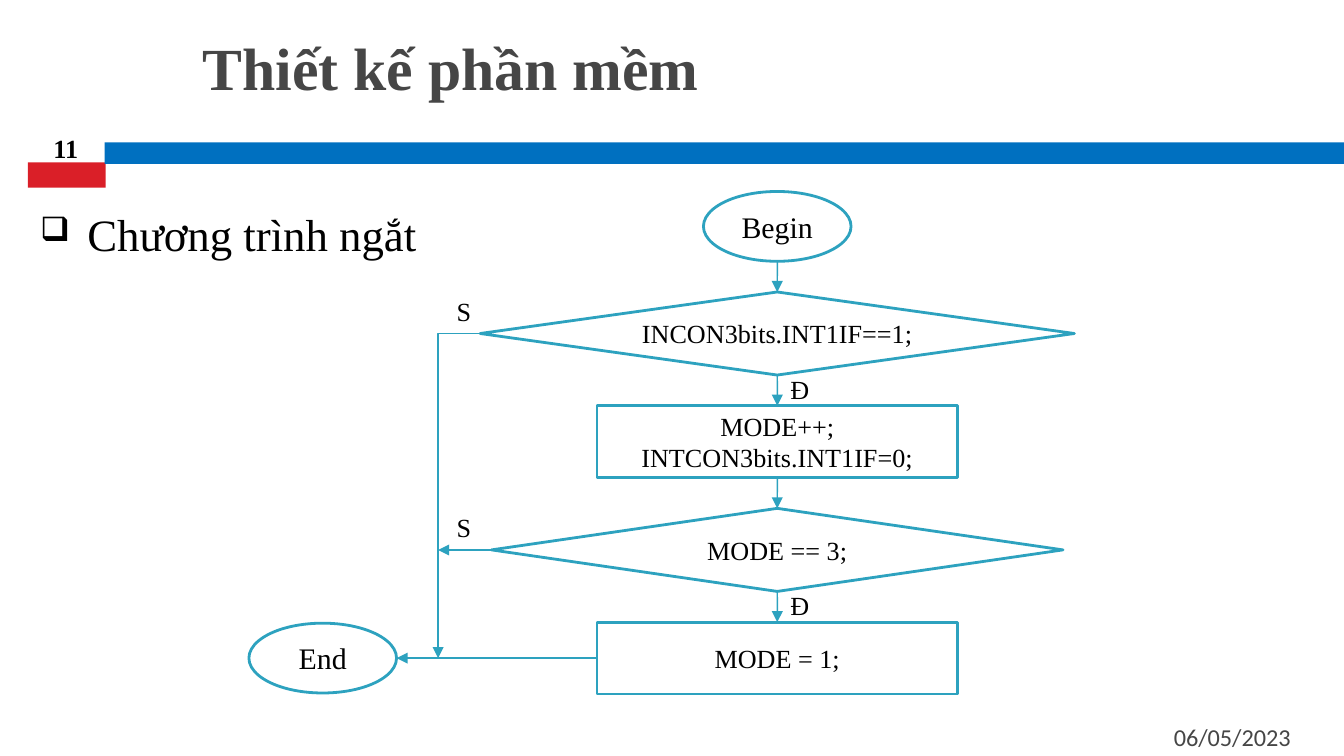
from dataclasses import dataclass
from typing import Optional

from pptx import Presentation
from pptx.dml.color import RGBColor
from pptx.enum.shapes import MSO_CONNECTOR, MSO_SHAPE
from pptx.enum.text import MSO_ANCHOR, PP_ALIGN
from pptx.oxml.ns import qn
from pptx.oxml.xmlchemy import OxmlElement
from pptx.util import Cm, Pt

RECT, OVAL, DIAMOND = MSO_SHAPE.RECTANGLE, MSO_SHAPE.OVAL, MSO_SHAPE.DIAMOND
STRAIGHT, ELBOW = MSO_CONNECTOR.STRAIGHT, MSO_CONNECTOR.ELBOW
TOP, MIDDLE, BOTTOM = MSO_ANCHOR.TOP, MSO_ANCHOR.MIDDLE, MSO_ANCHOR.BOTTOM
LEFT, CENTER, RIGHT, JUSTIFY = (PP_ALIGN.LEFT, PP_ALIGN.CENTER,
                                PP_ALIGN.RIGHT, PP_ALIGN.JUSTIFY)
SITE_TOP, SITE_LEFT, SITE_BOTTOM = 0, 1, 2


@dataclass(frozen=True)
class Theme:
    serif: str = "Times New Roman"
    sans: str = "Calibri"
    black: RGBColor = RGBColor(0, 0, 0)
    white: RGBColor = RGBColor(255, 255, 255)
    gray: RGBColor = RGBColor(0x46, 0x46, 0x46)
    red: RGBColor = RGBColor(0xDA, 0x1F, 0x28)
    blue: RGBColor = RGBColor(0x00, 0x70, 0xC0)
    teal: RGBColor = RGBColor(0x2D, 0xA2, 0xBF)
    title: float = 32
    body: float = 24
    terminal: float = 16
    step: float = 14
    date: float = 13
    outline: float = 1.5
    arrow: float = 0.79


T = Theme()


@dataclass(frozen=True)
class Box:
    """Position and size in centimetres."""
    x: float
    y: float
    w: float
    h: float

    @property
    def mid_x(self) -> float:
        return self.x + self.w / 2

    @property
    def mid_y(self) -> float:
        return self.y + self.h / 2

    @property
    def bottom(self) -> float:
        return self.y + self.h

    def emu(self) -> tuple:
        return Cm(self.x), Cm(self.y), Cm(self.w), Cm(self.h)


@dataclass(frozen=True)
class Step:
    kind: MSO_SHAPE
    w: float
    h: float
    lines: tuple
    size: float = T.step


def write(tf, lines, size, color=T.black, font=T.serif, bold=False, align=LEFT) -> None:
    fmt = {"name": font, "size": Pt(size), "bold": bold}
    for i, line in enumerate(lines):
        p = tf.paragraphs[0] if i == 0 else tf.add_paragraph()
        p.alignment = align
        r = p.add_run()
        r.text = line
        for name, value in fmt.items():
            setattr(r.font, name, value)
        r.font.color.rgb = color


def add_text(s, box: Box, text: str, size: float, anchor=TOP, wrap=True,
             inset_top=0.13, **fmt):
    tf = s.shapes.add_textbox(*box.emu()).text_frame
    for name, value in {"word_wrap": wrap, "vertical_anchor": anchor,
                        "margin_top": Cm(inset_top)}.items():
        setattr(tf, name, value)
    write(tf, [text], size, **fmt)
    return tf


def add_shape(s, kind, box: Box, fill: RGBColor, line: Optional[RGBColor] = None):
    sp = s.shapes.add_shape(kind, *box.emu())
    sp.shadow.inherit = False
    sp.fill.solid()
    sp.fill.fore_color.rgb = fill
    if line is None:
        sp.line.fill.background()
    else:
        sp.line.color.rgb = line
        sp.line.width = Pt(T.outline)
    return sp


def add_step(s, step: Step, box: Box):
    sp = add_shape(s, step.kind, box, T.white, T.teal)
    tf = sp.text_frame
    for side in ("left", "top", "right", "bottom"):
        setattr(tf, f"margin_{side}", 0)
    tf.word_wrap = True
    tf.vertical_anchor = MIDDLE
    write(tf, step.lines, step.size, align=CENTER)
    return sp


def add_arrow(s, start: tuple, end: tuple, kind=STRAIGHT):
    cxn = s.shapes.add_connector(kind, *(Cm(v) for v in start + end))
    cxn.line.color.rgb = T.teal
    cxn.line.width = Pt(T.arrow)
    spPr = cxn._element.spPr
    tail = OxmlElement("a:tailEnd")
    tail.set("type", "triangle")
    spPr.find(qn("a:ln")).append(tail)
    spPr.append(OxmlElement("a:effectLst"))
    if kind == ELBOW:  # a single corner
        spPr.find(qn("a:prstGeom")).set("prst", "bentConnector2")
    return cxn


def add_bullet(p, char: str, indent: float) -> None:
    pPr = p._p.get_or_add_pPr()
    pPr.set("marL", str(Cm(indent)))
    pPr.set("indent", str(-Cm(indent)))
    color = OxmlElement("a:buClr")
    rgb = OxmlElement("a:srgbClr")
    rgb.set("val", str(T.black))
    color.append(rgb)
    size = OxmlElement("a:buSzPct")
    size.set("val", "75000")
    bullet = OxmlElement("a:buChar")
    bullet.set("char", char)
    pPr.extend([color, size, bullet])


prs = Presentation()
prs.slide_width, prs.slide_height = Cm(25.4), Cm(14.29)
s = prs.slides.add_slide(prs.slide_layouts[6])

# Header bars, title, date and slide number
add_shape(s, RECT, Box(0.53, 3.07, 1.47, 0.48), T.red)
add_shape(s, RECT, Box(1.98, 2.69, 23.42, 0.41), T.blue)
add_text(s, Box(3.58, 0.33, 21.44, 2.26), "Thiết kế phần mềm", T.title,
         inset_top=0.25, color=T.gray, bold=True)
add_text(s, Box(17.22, 13.54, 7.42, 0.76), "06/05/2023", T.date, MIDDLE,
         color=T.gray, font=T.sans, align=RIGHT)
add_text(s, Box(0.51, 2.34, 1.47, 0.89), "11", T.step, BOTTOM, bold=True, align=CENTER)

# Flowchart column: equal gaps, centred on one axis
AXIS, FIRST_TOP, GAP, BYPASS = 14.69, 3.62, 0.58, 8.28
END_X = 6.1
STEPS = (
    Step(OVAL, 2.79, 1.32, ("Begin",), T.terminal),
    Step(DIAMOND, 11.23, 1.57, ("INCON3bits.INT1IF==1;",)),
    Step(RECT, 6.81, 1.36, ("MODE++;", "INTCON3bits.INT1IF=0;")),
    Step(DIAMOND, 10.8, 1.57, ("MODE == 3;",)),
    Step(RECT, 6.81, 1.36, ("MODE = 1;",)),
)
boxes, shapes = [], []
top = FIRST_TOP
for step in STEPS:
    box = Box(AXIS - step.w / 2, top, step.w, step.h)
    boxes.append(box)
    shapes.append(add_step(s, step, box))
    top = box.bottom + GAP

end_step = Step(OVAL, 2.79, 1.32, ("End",), T.terminal)
last = boxes[-1]
end_box = Box(END_X - end_step.w / 2, last.mid_y - end_step.h / 2, end_step.w, end_step.h)
add_step(s, end_step, end_box)

# Downward arrows
for i in range(len(STEPS) - 1):
    cxn = add_arrow(s, (AXIS, boxes[i].bottom), (AXIS, boxes[i + 1].y))
    if STEPS[i].kind != OVAL:
        cxn.begin_connect(shapes[i], SITE_BOTTOM)
    cxn.end_connect(shapes[i + 1], SITE_TOP)

# Arrows to the end and the bypass on the left
check, compare = boxes[1], boxes[3]
routes = (
    (4, (end_box.x + end_box.w, last.mid_y), STRAIGHT),
    (1, (BYPASS, last.mid_y), ELBOW),
    (3, (BYPASS, compare.mid_y), STRAIGHT),
)
for i, target, kind in routes:
    cxn = add_arrow(s, (boxes[i].x, boxes[i].mid_y), target, kind)
    cxn.begin_connect(shapes[i], SITE_LEFT)

# Branch labels
for box in (check, compare):
    add_text(s, Box(AXIS, box.bottom - 0.17, 0.86, 0.86), "Đ", T.step, wrap=False)
    add_text(s, Box(8.38, box.mid_y - 0.86, 0.79, 0.86), "S", T.step, wrap=False)

# Bulleted heading
tf = add_text(s, Box(0.51, 3.56, 8.61, 1.52), "Chương trình ngắt", T.body,
              inset_top=0.25, align=JUSTIFY)
p = tf.paragraphs[0]
p.line_spacing = 1.1
add_bullet(p, "❑", 0.89)

prs.save("out.pptx")
